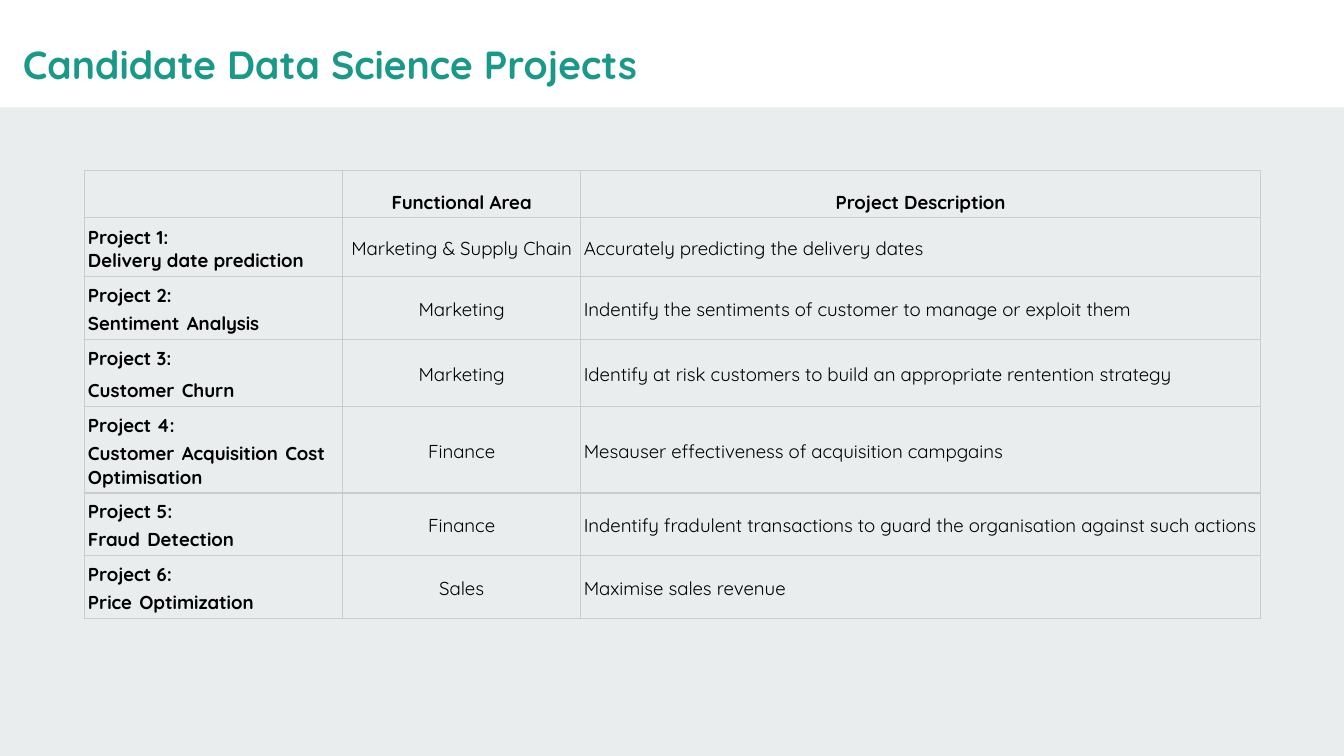
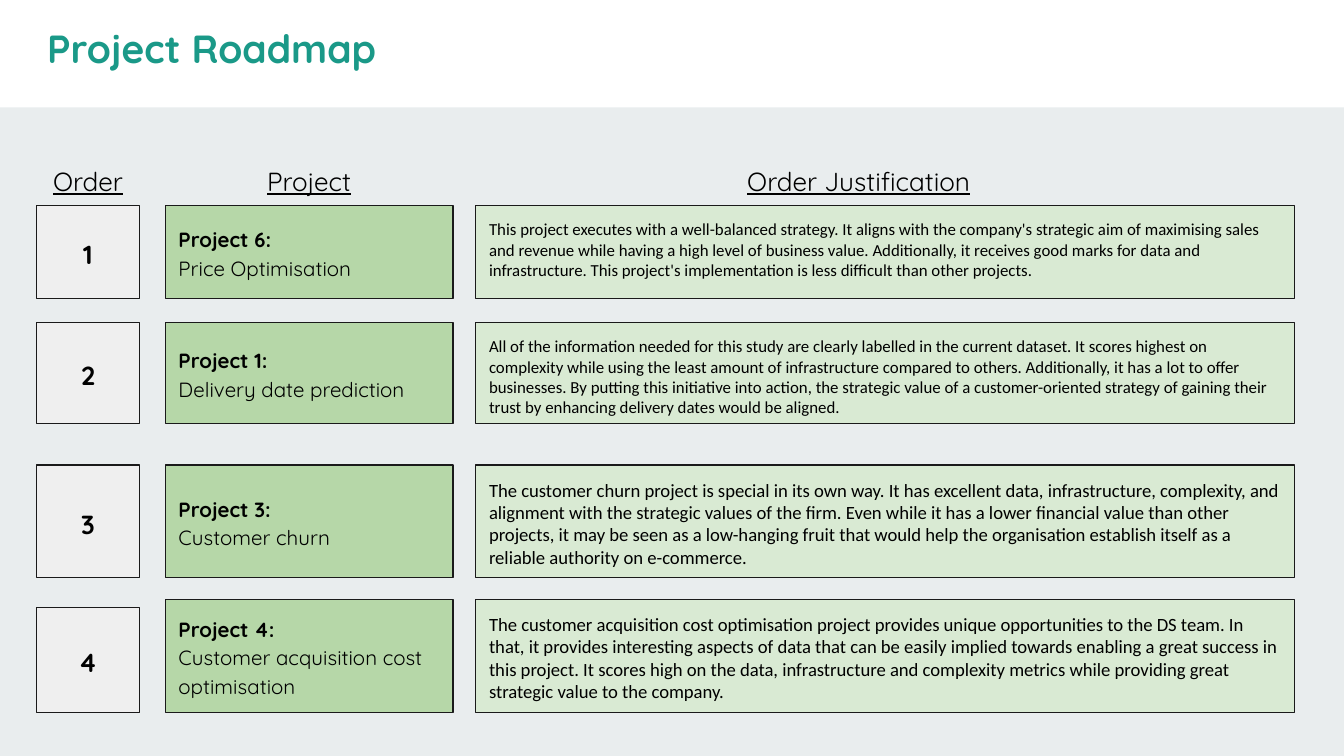
from dataclasses import dataclass

from lxml import etree
from pptx import Presentation
from pptx.dml.color import RGBColor
from pptx.enum import shapes, text
from pptx.oxml import ns
from pptx.util import Inches, Pt


@dataclass(frozen=True)
class Theme:
    background: str = "E9EDEE"
    band: str = "FFFFFF"
    title: str = "1A9988"
    ink: str = "000000"
    outline: str = "1A1A1A"
    grid: str = "CCCCCC"
    order: str = "EFEFEF"
    project: str = "B6D7A8"
    reason: str = "D9EAD3"
    font: str = "Quicksand"
    reason_font: str = "Calibri"
    space_font: str = "Arial"
    title_size: int = 21
    heading_size: int = 14
    project_size: int = 11
    table_size: int = 10
    space_size: int = 14
    line_spacing: float = 1.15


THEME = Theme()
LEFT, CENTER = text.PP_ALIGN.LEFT, text.PP_ALIGN.CENTER
TOP, MIDDLE, BOTTOM = (text.MSO_ANCHOR.TOP, text.MSO_ANCHOR.MIDDLE,
                       text.MSO_ANCHOR.BOTTOM)
BOX_MARGIN = Inches(0.1)
CELL_MARGIN = BOX_MARGIN // 4

TABLE_HEADINGS = ["", "Functional Area", "Project Description"]
# Project, words of its name, functional area, description
CANDIDATES = [
    ("Project 1:", ["Delivery date prediction"], "Marketing & Supply Chain",
     "Accurately predicting the delivery dates"),
    ("Project 2:", ["Sentiment", "Analysis"], "Marketing",
     "Indentify the sentiments of customer to manage or exploit them"),
    ("Project 3:", ["Customer", "Churn"], "Marketing",
     "Identify at risk customers to build an appropriate rentention strategy"),
    ("Project 4:", ["Customer", "Acquisition", "Cost", "Optimisation"], "Finance",
     "Mesauser effectiveness of acquisition campgains"),
    ("Project 5:", ["Fraud", "Detection"], "Finance",
     "Indentify fradulent transactions to guard the organisation against such actions"),
    ("Project 6:", ["Price", "Optimization"], "Sales", "Maximise sales revenue"),
]
LOOSE_NAME = "Project 3:"  # the one name set with wider line spacing
TABLE_LEFT, TABLE_TOP = 0.63, 1.27
TABLE_COLUMNS = [1.92, 1.77, 5.06]
HEADING_HEIGHT, ROW_HEIGHT = 0.35, 0.44

ROADMAP_HEADINGS = [("Order", 0.27, 0.77), ("Project", 1.23, 2.14),
                    ("Order Justification", 4.65, 3.48)]
HEADING_TOP, HEADING_BOX_HEIGHT = 1.16, 0.37
ORDER_COLUMN, PROJECT_COLUMN, REASON_COLUMN = (0.27, 0.77), (1.23, 2.14), (3.54, 6.09)
# Top, bottom, top of the order box, project, name, justification, justification size
ROADMAP = [
    (1.53, 2.22, 1.53, "Project 6:", "Price Optimisation",
     "This project executes with a well-balanced strategy. It aligns with the company's "
     "strategic aim of maximising sales and revenue while having a high level of business "
     "value. Additionally, it receives good marks for data and infrastructure. This "
     "project's implementation is less difficult than other projects.", 9),
    (2.4, 3.15, 2.4, "Project 1:", "Delivery date prediction",
     "All of the information needed for this study are clearly labelled in the current "
     "dataset. It scores highest on complexity while using the least amount of "
     "infrastructure compared to others. Additionally, it has a lot to offer businesses. "
     "By putting this initiative into action, the strategic value of a customer-oriented "
     "strategy of gaining their trust by enhancing delivery dates would be aligned.", 9),
    (3.46, 4.3, 3.46, "Project 3:", "Customer churn",
     "The customer churn project is special in its own way. It has excellent data, "
     "infrastructure, complexity, and alignment with the strategic values of the firm. "
     "Even while it has a lower financial value than other projects, it may be seen as a "
     "low-hanging fruit that would help the organisation establish itself as a reliable "
     "authority on e-commerce.", 10),
    (4.46, 5.3, 4.52, "Project 4:", "Customer acquisition cost optimisation",
     "The customer acquisition cost optimisation project provides unique opportunities to "
     "the DS team. In that, it provides interesting aspects of data that can be easily "
     "implied towards enabling a great success in this project. It scores high on the "
     "data, infrastructure and complexity metrics while providing great strategic value "
     "to the company.", 10),
]


def color(value):
    return RGBColor.from_string(value)


def add_run(paragraph, words, size, font=THEME.font, ink=THEME.ink, bold=False,
            underline=None):
    run = paragraph.add_run()
    run.text = words
    run.font.name = font
    run.font.size = Pt(size)
    run.font.bold = bold
    run.font.underline = underline
    run.font.color.rgb = color(ink)


def format_paragraph(paragraph, align=LEFT, spacing=THEME.line_spacing):
    paragraph.alignment = align
    paragraph.line_spacing = spacing
    return paragraph


def set_frame(frame, anchor):
    frame.word_wrap = True
    frame.auto_size = text.MSO_AUTO_SIZE.NONE
    frame.vertical_anchor = anchor
    frame.margin_left = frame.margin_right = BOX_MARGIN
    frame.margin_top = frame.margin_bottom = BOX_MARGIN
    return frame


def add_box(slide, place, fill, line=None, anchor=MIDDLE):
    box = slide.shapes.add_shape(shapes.MSO_SHAPE.RECTANGLE, *map(Inches, place))
    box.shadow.inherit = False
    box.fill.solid()
    box.fill.fore_color.rgb = color(fill)
    if line:
        box.line.color.rgb = color(line)
        box.line.width = Pt(0.75)
    else:
        box.line.fill.background()
    set_frame(box.text_frame, anchor)
    return box


def add_titled_slide(presentation, layout, title, place, spacing):
    slide = presentation.slides.add_slide(layout)
    shape = slide.shapes.title
    shape.left, shape.top, shape.width, shape.height = map(Inches, place)
    paragraph = set_frame(shape.text_frame, TOP).paragraphs[0]
    format_paragraph(paragraph, spacing=spacing)
    add_run(paragraph, title, THEME.title_size, ink=THEME.title, bold=True)
    return slide


def move_band_to_layout(slide, layout):
    """Draw the white title band and place it at the back of the layout."""
    band = add_box(slide, (0, 0, 10, 0.8), THEME.band).element
    band.nvSpPr.cNvPr.set("id", "99")
    layout.shapes.element.insert(2, band)


def format_cell(cell, anchor):
    properties = cell._tc.get_or_add_tcPr()
    for side in ("lnL", "lnR", "lnT", "lnB"):
        line = etree.SubElement(properties, ns.qn(f"a:{side}"), w=str(Pt(0.75)))
        fill = etree.SubElement(line, ns.qn("a:solidFill"))
        etree.SubElement(fill, ns.qn("a:srgbClr"), val=THEME.grid)
    cell.fill.background()
    cell.vertical_anchor = anchor
    cell.margin_left = cell.margin_right = CELL_MARGIN
    cell.margin_top = cell.margin_bottom = CELL_MARGIN


def fill_cell(cell, words, align=LEFT, bold=False, anchor=MIDDLE):
    format_cell(cell, anchor)
    paragraph = format_paragraph(cell.text_frame.paragraphs[0], align)
    add_run(paragraph, words, THEME.table_size, bold=bold)


def add_name(cell, words, spacing):
    """Add the project name, with larger spaces between its words."""
    paragraph = format_paragraph(cell.text_frame.add_paragraph(), spacing=spacing)
    for index, word in enumerate(words):
        if index:
            add_run(paragraph, " ", THEME.space_size, THEME.space_font, bold=True)
        add_run(paragraph, word, THEME.table_size, bold=True)


def add_candidate_table(slide):
    heights = [HEADING_HEIGHT] + [ROW_HEIGHT] * len(CANDIDATES)
    table = slide.shapes.add_table(
        len(heights), len(TABLE_COLUMNS), Inches(TABLE_LEFT), Inches(TABLE_TOP),
        Inches(sum(TABLE_COLUMNS)), Inches(sum(heights))).table
    table.first_row = table.horz_banding = False
    for column, width in zip(table.columns, TABLE_COLUMNS):
        column.width = Inches(width)
    for row, height in zip(table.rows, heights):
        row.height = Inches(height)
    for index, heading in enumerate(TABLE_HEADINGS):
        fill_cell(table.cell(0, index), heading, CENTER, True, BOTTOM)
    for row, (project, name, area, description) in enumerate(CANDIDATES, 1):
        fill_cell(table.cell(row, 0), project, bold=True)
        add_name(table.cell(row, 0), name,
                 THEME.line_spacing if project == LOOSE_NAME else 1.0)
        fill_cell(table.cell(row, 1), area, CENTER)
        fill_cell(table.cell(row, 2), description)


def add_roadmap(slide):
    for heading, left, width in ROADMAP_HEADINGS:
        box = slide.shapes.add_textbox(*map(Inches, (left, HEADING_TOP, width,
                                                     HEADING_BOX_HEIGHT)))
        paragraph = set_frame(box.text_frame, MIDDLE).paragraphs[0]
        add_run(format_paragraph(paragraph, CENTER, 1.0), heading,
                THEME.heading_size, underline=True)

    for number, row in enumerate(ROADMAP, 1):
        top, bottom, order_top, project, name, reason, reason_size = row

        def add_card(column, fill, card_top=top, anchor=MIDDLE):
            left, width = column
            place = (left, card_top, width, bottom - card_top)
            return add_box(slide, place, fill, THEME.outline, anchor).text_frame

        frame = add_card(ORDER_COLUMN, THEME.order, order_top)
        add_run(format_paragraph(frame.paragraphs[0], CENTER), str(number),
                THEME.heading_size, bold=True)

        frame = add_card(PROJECT_COLUMN, THEME.project)
        add_run(format_paragraph(frame.paragraphs[0]), project,
                THEME.project_size, bold=True)
        add_run(format_paragraph(frame.add_paragraph()), name, THEME.project_size)

        frame = add_card(REASON_COLUMN, THEME.reason, anchor=TOP)
        add_run(format_paragraph(frame.paragraphs[0], spacing=1.0), reason,
                reason_size, THEME.reason_font)


def main():
    presentation = Presentation()
    presentation.slide_width = Inches(10)
    presentation.slide_height = Inches(10) * 9 // 16
    background = presentation.slide_master.background.fill
    background.solid()
    background.fore_color.rgb = color(THEME.background)
    layout = presentation.slide_layouts.get_by_name("Title Only")

    candidates = add_titled_slide(presentation, layout, "Candidate Data Science Projects",
                                  (0.07, 0.15, 8.44, 0.37), THEME.line_spacing)
    move_band_to_layout(candidates, layout)
    add_candidate_table(candidates)

    roadmap = add_titled_slide(presentation, layout, "Project Roadmap",
                               (0.25, 0.08, 8.41, 0.56), 1.0)
    add_roadmap(roadmap)
    presentation.save("out.pptx")


if __name__ == "__main__":
    main()
